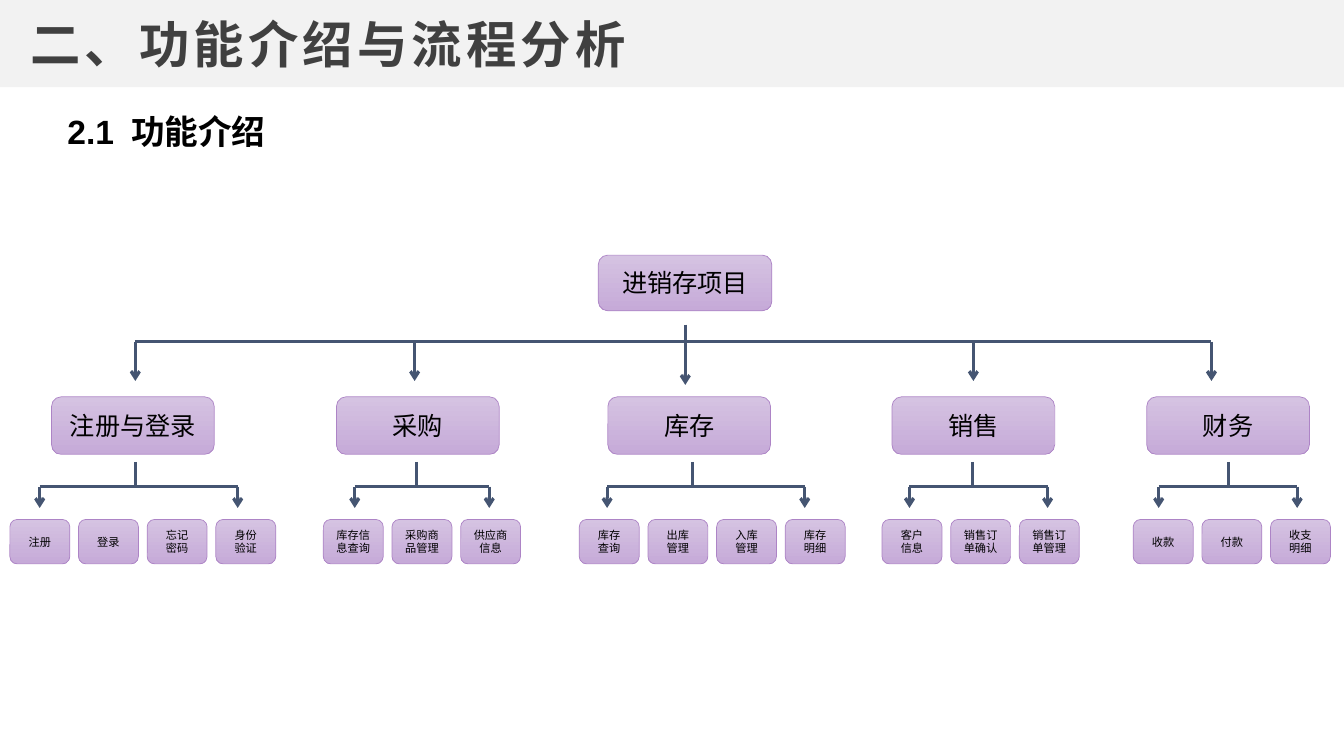
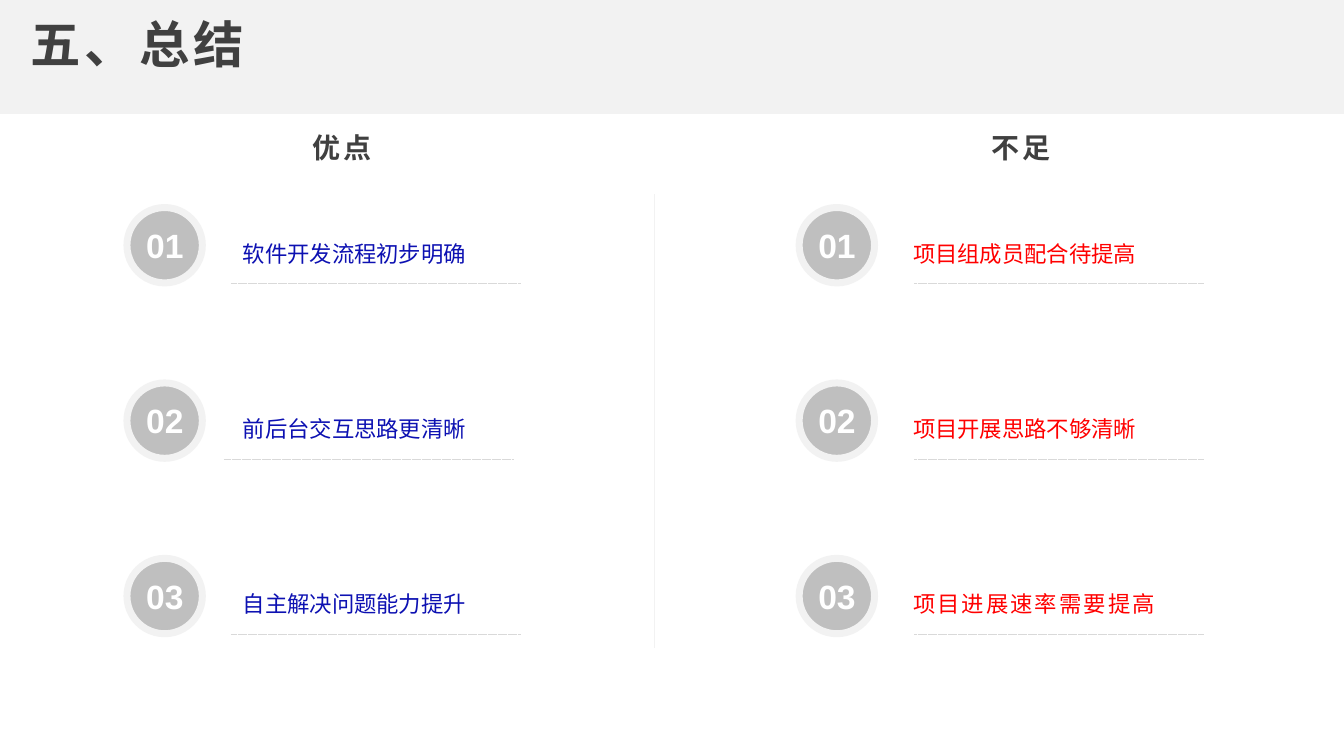
from lxml import etree
from pptx import Presentation
from pptx import util as u
from pptx.dml.color import RGBColor
from pptx.enum import dml, shapes, text
from pptx.oxml.ns import qn

Cm, Pt = u.Cm, u.Pt
BAND = RGBColor(0xF2, 0xF2, 0xF2)
DARK = RGBColor(0x40, 0x40, 0x40)
BLACK = RGBColor(0, 0, 0)
WHITE = RGBColor(0xFF, 0xFF, 0xFF)
LIGHT = RGBColor(0xD5, 0xC3, 0xE2)
DEEP = RGBColor(0xC6, 0xAA, 0xD8)
EDGE = RGBColor(0xAD, 0x84, 0xC6)
NAVY = RGBColor(0x45, 0x55, 0x72)
GREY = RGBColor(0xBF, 0xBF, 0xBF)
RULE = RGBColor(0xD9, 0xD9, 0xD9)
BLUE = RGBColor(0x0D, 0x11, 0xB2)
RED = RGBColor(0xFF, 0, 0)

ROUND = shapes.MSO_SHAPE.ROUNDED_RECTANGLE
OVAL = shapes.MSO_SHAPE.OVAL
MID = text.PP_ALIGN.CENTER

TITLE = {"size": Pt(36), "bold": True, "color": DARK, "spc": 3}
HEAD = {"size": Pt(20), "bold": True, "color": DARK, "spc": 2}
SUB = {"size": Pt(24), "bold": True, "color": BLACK}
NODE = {"size": Pt(18), "color": BLACK}
LEAF = {"size": Pt(8), "color": BLACK}
NUM = {"size": Pt(24), "bold": True, "color": WHITE}
ITEM = {"size": Pt(16)}
LOOSE = {"line_spacing": 1.3, "space_after": Pt(10)}
TIGHT = {"margin_left": Cm(0.28), "margin_right": Cm(0.2),
         "margin_top": Cm(0.1), "margin_bottom": Cm(0.1)}
FLAT = {"margin_left": Cm(0.28), "margin_right": Cm(0.23),
        "margin_top": 0, "margin_bottom": 0}


def write(slide, box, words, font, para={}, frame={}, kind=None):
    area = [Cm(n) for n in box]
    if kind is None:
        shape = slide.shapes.add_textbox(*area)
    else:
        shape = slide.shapes.add_shape(kind, *area)
        shape.shadow.inherit = False
        shape.fill.gradient()
        shape.fill.gradient_angle = 270
        for stop, tint in zip(shape.fill.gradient_stops, (LIGHT, DEEP)):
            stop.color.rgb = tint
        shape.line.color.rgb = EDGE
        shape.line.width = Pt(0.5)
    body = shape.text_frame
    body.word_wrap = True
    for key, val in frame.items():
        setattr(body, key, val)
    body.text = words
    for par in body.paragraphs:
        for key, val in para.items():
            setattr(par, key, val)
        for run in par.runs:
            for key, val in {"name": "Arial", **font}.items():
                if key == "color":
                    run.font.color.rgb = val
                elif key == "spc":
                    run._r.get_or_add_rPr().set("spc", str(int(val * 100)))
                else:
                    setattr(run.font, key, val)
    return shape


def draw(slide, ends, color=NAVY, width=2.25, arrow=False, dash=False):
    line = slide.shapes.add_connector(
        shapes.MSO_CONNECTOR.STRAIGHT, *[Cm(n) for n in ends])
    line.line.color.rgb = color
    line.line.width = Pt(width)
    if dash:
        line.line.dash_style = dml.MSO_LINE.DASH
    if arrow:
        tip = etree.SubElement(line.line._get_or_add_ln(), qn("a:tailEnd"))
        tip.set("type", "arrow")
    etree.SubElement(line._element.spPr, qn("a:effectLst"))


deck = Presentation()
deck.slide_width, deck.slide_height = Cm(33.87), Cm(19.05)

pages = []
for title, high in (("二、功能介绍与流程分析", 2.2), ("五、总结", 2.87)):
    page = deck.slides.add_slide(deck.slide_layouts[6])
    band = page.shapes.add_shape(
        shapes.MSO_SHAPE.RECTANGLE, 0, 0, deck.slide_width, Cm(high))
    band.shadow.inherit = False
    band.fill.solid()
    band.fill.fore_color.rgb = BAND
    band.line.fill.background()
    write(page, (0.48, 0.23, 29.36, 1.75), title, TITLE, frame=TIGHT)
    pages.append(page)
tree, recap = pages

sub = write(tree, (1.45, 2.67, 5.92, 1.27), "2.1", SUB)
for part, gap in ((" ", 5.5), ("功能介绍", 0)):
    run = sub.text_frame.paragraphs[0].add_run()
    run.text = part
    for key, val in {"name": "Arial", "size": Pt(24), "bold": True}.items():
        setattr(run.font, key, val)
    run.font.color.rgb = BLACK
    run._r.get_or_add_rPr().set("spc", str(int(gap * 100)))

center = {"alignment": MID}
middle = {"vertical_anchor": text.MSO_ANCHOR.MIDDLE}
write(tree, (15.08, 6.43, 4.37, 1.4), "进销存项目", NODE, center, middle, ROUND)

groups = [
    ("注册与登录", 1.3, 3.41, 3.42, 1, 5.99, 0.25,
     ["注册", "登录", "忘记\n密码", "身份\n验证"]),
    ("采购", 8.48, 10.45, 10.49, 8.94, 12.33, 8.15,
     ["库存信息查询", "采购商品管理", "供应商信息"]),
    ("库存", 15.32, 17.27, 17.45, 15.3, 20.28, 14.6,
     ["库存\n查询", "出库\n管理", "入库\n管理", "库存\n明细"]),
    ("销售", 22.48, 24.53, 24.51, 22.92, 26.4, 22.23,
     ["客户\n信息", "销售订单确认", "销售订单管理"]),
    ("财务", 28.9, 30.53, 30.96, 29.2, 32.69, 28.56,
     ["收款", "付款", "收支\n明细"]),
]
top, bar, fork = 8.18, 8.61, 12.26
draw(tree, (groups[0][2], bar, groups[-1][2], bar))
draw(tree, (groups[2][2], top, groups[2][2], bar))
for name, left, drop, stem, west, east, start, leaves in groups:
    write(tree, (left, 10, 4.1, 1.45), name, NODE, center, middle, ROUND)
    draw(tree, (drop, bar, drop, 9.7 if name == "库存" else 9.6), arrow=True)
    draw(tree, (stem, 11.64, stem, fork))
    draw(tree, (west, fork, east, fork))
    for x in (west, east):
        draw(tree, (x, fork, x, 12.8), arrow=True)
    for i, leaf in enumerate(leaves):
        write(tree, (start + 1.73 * i, 13.09, 1.51, 1.12), leaf, LEAF,
              center, middle, ROUND)

draw(recap, (16.5, 4.9, 16.5, 16.33), BAND, 1)
sides = [
    ("优点", 7.6, 3.2, 5.84, (5.82, 5.64, 5.82), BLUE,
     ["软件开发流程初步明确", "前后台交互思路更清晰", "自主解决问题能力提升"]),
    ("不足", 24.71, 20.14, 22.73, (23.04, 23.04, 23.04), RED,
     ["项目组成员配合待提高", "项目开展思路不够清晰", "项目进展速率需要提高"]),
]
for head, left, disc, col, rules, tone, items in sides:
    write(recap, (left, 3.18, 7.92, 1.07), head, HEAD, frame=TIGHT)
    for i, item in enumerate(items):
        y = 5.23 + 4.42 * i
        font = {**ITEM, "color": tone}
        if item == "项目进展速率需要提高":
            font.update(name="Noto Sans CJK SC", spc=1.5)
        draw(recap, (rules[i], y + 1.91, rules[i] + 7.3, y + 1.91),
             RULE, 0.1, dash=True)
        write(recap, (col, y + 0.61, 7.92, 1.75), item, font, LOOSE, FLAT)
        ring = recap.shapes.add_shape(OVAL, Cm(disc), Cm(y), Cm(1.9), Cm(1.9))
        ring.shadow.inherit = False
        ring.fill.solid()
        ring.fill.fore_color.rgb = GREY
        ring.line.color.rgb = BAND
        ring.line.width = Pt(5)
        write(recap, (disc + 0.18, y + 0.31, 1.55, 1.27), f"{i + 1:02}",
              NUM, center)

deck.save("out.pptx")
